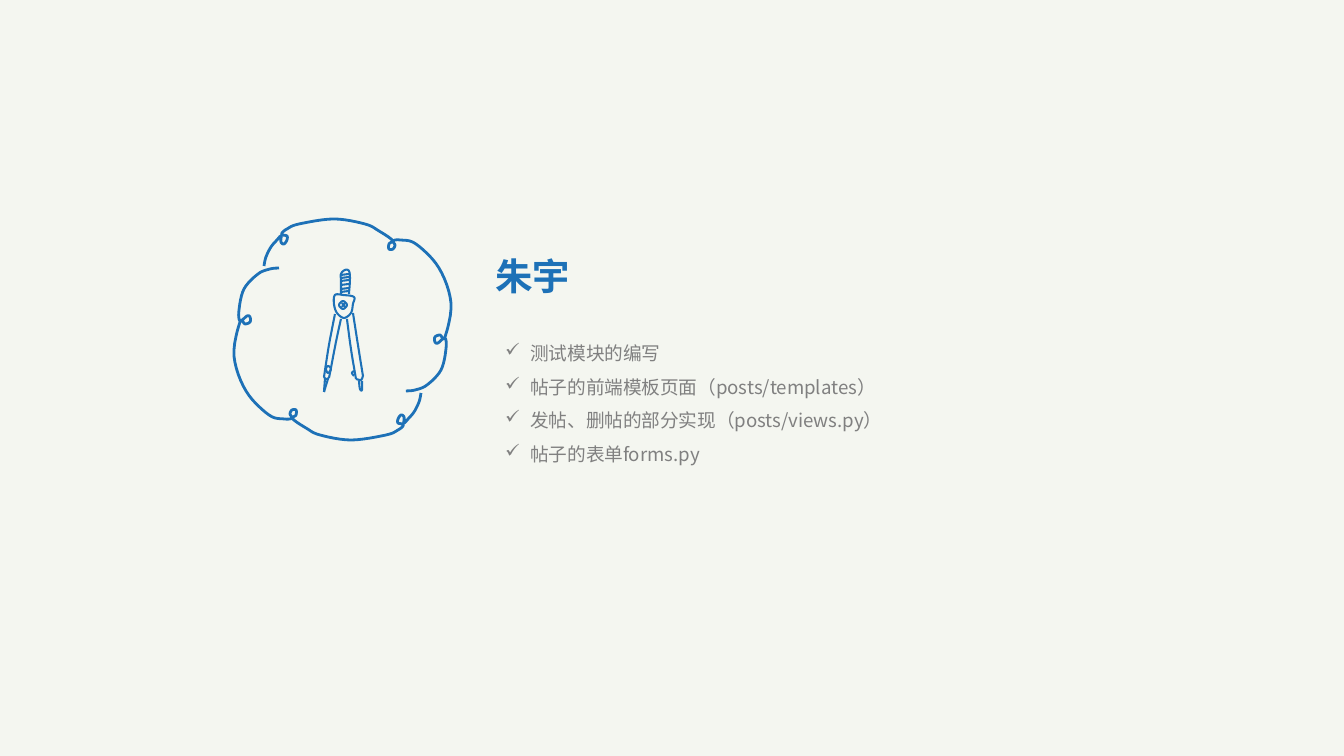
from dataclasses import dataclass
from itertools import pairwise

from lxml.etree import SubElement
from pptx import Presentation
from pptx.dml.color import RGBColor as Rgb
from pptx.enum.text import MSO_AUTO_SIZE as AutoSize
from pptx.oxml.ns import qn
from pptx.util import Pt

PX = 914400 / 134.4


@dataclass(frozen=True)
class Theme:
    paper: Rgb = Rgb(0xF4, 0xF6, 0xF0)
    blue: Rgb = Rgb(0x1D, 0x71, 0xB7)
    grey: Rgb = Rgb(0x80, 0x80, 0x80)
    font: str = "Noto Sans CJK SC"
    title: int = 20
    body: int = 10
    cloud_line: float = 1.5
    compass_line: float = 1.1


THEME = Theme()

CLOUD_HALF = [
    (187, 125), (185, 134), (180, 144), (174, 151), (170, 155), (170, 149),
    (167, 147), (164, 151), (164, 155), (168, 156), (169, 158), (164, 162),
    (152, 167), (117, 172), (86, 167), (72, 160), (59, 151), (62, 147),
    (62, 142), (58, 142), (56, 146), (58, 150), (51, 151), (35, 147),
    (12, 123), (0, 88), (6, 54), (11, 56), (16, 54), (16, 49), (13, 48),
    (6, 53), (5, 42), (10, 21), (24, 6), (36, 1), (45, 0),
]

RING = [(20, 32), (24, 36), (20, 40), (16, 36), (20, 32)]
CROSS = [[(19, 34), (22, 38)], [(22, 34), (19, 38)]]
HANDLE_RINGS = [[(18, y + 1), (26, y)] for y in (5, 8, 11, 15, 19, 22)]
COMPASS = HANDLE_RINGS + [
    [(18, 25), (18, 12), (18, 5), (22, 1), (26, 2), (27, 10), (26, 25)],
    [(12, 26), (20, 26), (31, 28), (30, 35), (28, 44), (21, 49), (14, 44),
     (11, 35), (12, 26)],
    [(12, 45), (6, 76), (1, 108)],
    [(1, 108), (3, 110), (6, 109)],
    [(6, 109), (8, 99), (13, 73), (18, 50)],
    [(2, 110), (1, 123)],
    [(1, 123), (5, 110)],
    [(5, 97), (8, 100), (5, 104), (3, 100), (5, 97)],
    [(30, 44), (35, 76), (40, 107)],
    [(40, 107), (38, 111), (33, 110)],
    [(33, 110), (28, 80), (24, 50)],
    [(31, 102), (29, 104), (31, 107)],
    [(36, 112), (37, 120), (39, 121), (39, 112)],
]

DUTIES = [
    "测试模块的编写",
    "帖子的前端模板页面（posts/templates）",
    "发帖、删帖的部分实现（posts/views.py）",
    "帖子的表单forms.py",
]


def emu(px):
    return round(px * PX)


def smooth(points, steps=6):
    closed = points[0] == points[-1]
    before = points[-2] if closed else points[0]
    after = points[1] if closed else points[-1]
    padded = [before, *points, after]
    curve = [points[0]]
    for index, (start, end) in enumerate(pairwise(points)):
        previous, following = padded[index], padded[index + 3]
        for step in range(1, steps + 1):
            t = step / steps
            curve.append(tuple(
                b + t * (c - a) / 2
                + t * t * (2 * a - 5 * b + 4 * c - d) / 2
                + t ** 3 * (3 * b - a - 3 * c + d) / 2
                for a, b, c, d in zip(previous, start, end, following)
            ))
    return curve


def draw_strokes(page, box, strokes, width):
    curves = [[(emu(x), emu(y)) for x, y in smooth(stroke)] for stroke in strokes]
    builder = page.shapes.build_freeform(*curves[0][0])
    for index, curve in enumerate(curves):
        if index:
            builder.move_to(*curve[0])
        builder.add_line_segments(curve[1:], close=False)
    shape = builder.convert_to_shape(emu(box[0]), emu(box[1]))
    shape.shadow.inherit = False
    shape.fill.background()
    shape.line.color.rgb = THEME.blue
    shape.line.width = Pt(width)
    return shape


def draw_cloud(page, box):
    left, top = box
    draw_strokes(page, (left, top + 49), [CLOUD_HALF], THEME.cloud_line)
    upper = draw_strokes(page, (left + 30, top), [CLOUD_HALF], THEME.cloud_line)
    upper.rotation = 180


def draw_compass(page, box):
    for strokes in ([RING], CROSS, COMPASS):
        draw_strokes(page, box, strokes, THEME.compass_line)


def add_frame(page, box):
    shape = page.shapes.add_textbox(*map(emu, box))
    frame = shape.text_frame
    frame.word_wrap = True
    frame.auto_size = AutoSize.SHAPE_TO_FIT_TEXT
    return frame


def add_span(para, text, size, colour, bold=False):
    span = para.add_run()
    span.text = text
    span.font.size = Pt(size)
    span.font.bold = bold
    span.font.color.rgb = colour
    span.font.name = THEME.font
    SubElement(span.font._element, qn("a:ea"), typeface=THEME.font)


def add_name(page, box):
    para = add_frame(page, box).paragraphs[0]
    add_span(para, "朱宇", THEME.title, THEME.blue, bold=True)


def add_duties(page, box):
    frame = add_frame(page, box)
    for index, duty in enumerate(DUTIES):
        para = frame.add_paragraph() if index else frame.paragraphs[0]
        para.line_spacing = 1.5
        properties = para._p.get_or_add_pPr()
        properties.set("marL", str(emu(25)))
        properties.set("indent", str(emu(-25)))
        SubElement(properties, qn("a:buChar"), char="✓")
        add_span(para, duty, THEME.body, THEME.grey)


def main():
    deck = Presentation()
    deck.slide_width, deck.slide_height = emu(1344), emu(756)
    page = deck.slides.add_slide(deck.slide_layouts[6])
    page.background.fill.solid()
    page.background.fill.fore_color.rgb = THEME.paper
    draw_cloud(page, (234, 219))
    draw_compass(page, (323, 269))
    add_duties(page, (492, 324, 408, 179))
    add_name(page, (482, 247, 728, 59))
    deck.save("out.pptx")


if __name__ == "__main__":
    main()
